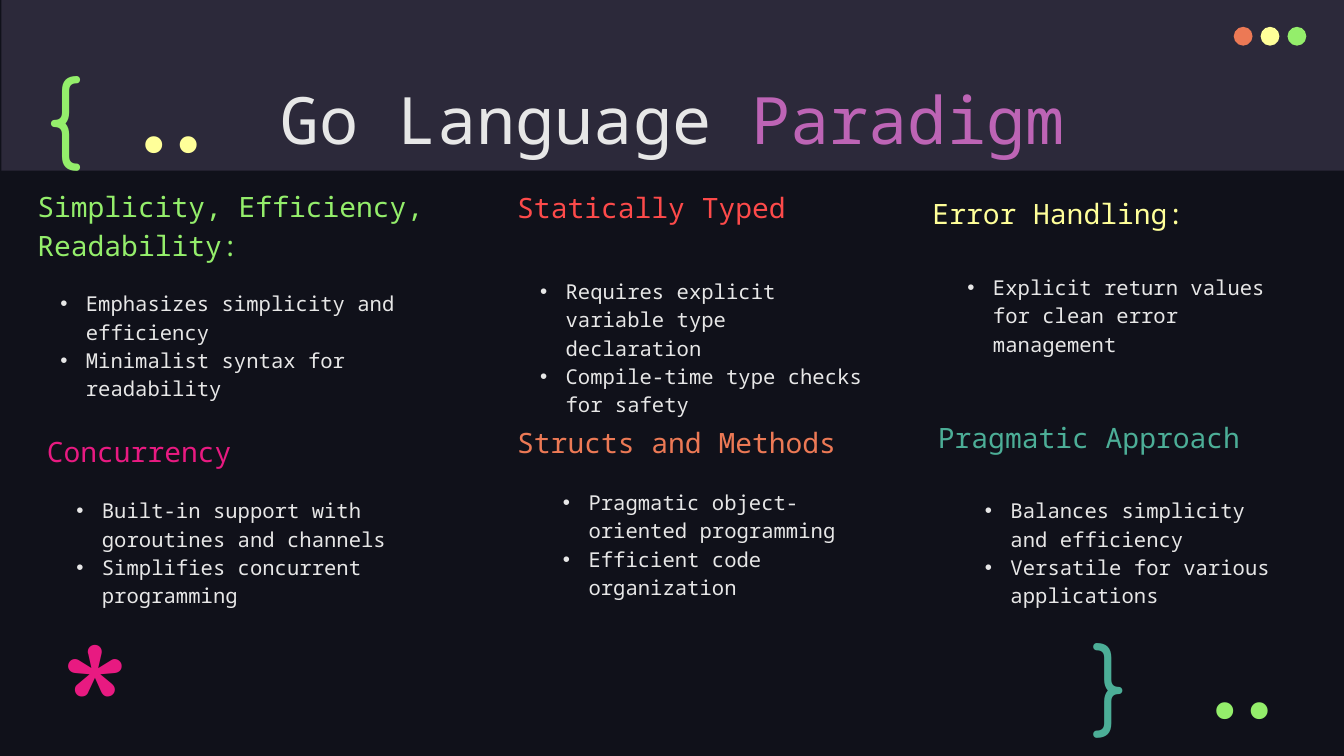
import pptx
import pptx.dml.color
import pptx.enum.shapes
import pptx.enum.text
import pptx.oxml
import pptx.oxml.ns
import pptx.util
from pptx.util import Inches

ALIGN = pptx.enum.text.PP_ALIGN
ANCHOR = pptx.enum.text.MSO_ANCHOR
SHAPE = pptx.enum.shapes.MSO_SHAPE

COLORS = {
    "background": "10111A", "header": "2C293A", "text": "E7E7E7",
    "purple": "BD64B5", "green": "94EE6B", "red": "FD4A4A",
    "yellow": "FFFF99", "pink": "E81A81", "orange": "EC7955",
    "teal": "4CAE97",
}
MONO = "Noto Sans Mono"

# heading, colour, heading box, bullet box, bullets
TOPICS = [
    ("Simplicity, Efficiency, Readability:", "green",
     (0.18, 1.3, 3.16, 0.75), (0.35, 2.04, 3.22, 0.79),
     ["Emphasizes simplicity and efficiency",
      "Minimalist syntax for readability"]),
    ("Statically Typed", "red",
     (3.75, 1.23, 2.52, 0.54), (3.92, 1.95, 2.64, 0.96),
     ["Requires explicit variable type declaration",
      "Compile-time type checks for safety"]),
    ("Error Handling:", "yellow",
     (6.84, 1.27, 2.16, 0.54), (7.1, 1.92, 2.54, 0.96),
     ["Explicit return values for clean error management"]),
    ("Concurrency", "pink",
     (0.25, 3.04, 2.65, 0.54), (0.47, 3.58, 2.73, 0.96),
     ["Built-in support with goroutines and channels",
      "Simplifies concurrent programming"]),
    ("Structs and Methods", "orange",
     (3.75, 2.98, 2.8, 0.54), (4.09, 3.52, 2.31, 0.96),
     ["Pragmatic object-oriented programming",
      "Efficient code organization"]),
    ("Pragmatic Approach", "teal",
     (6.88, 2.94, 2.69, 0.54), (7.23, 3.58, 2.48, 0.96),
     ["Balances simplicity and efficiency",
      "Versatile for various applications"]),
]

# symbol, colour, box, format
DOT_PAIR = {"font": "Fira Code", "align": ALIGN.RIGHT, "anchor": ANCHOR.MIDDLE}
SYMBOLS = [
    ("{", "green", (0.25, 0.32, 0.77, 0.95), {}),
    ("}", "teal", (8.03, 4.54, 0.57, 0.83), {}),
    ("*", "pink", (0.35, 4.41, 0.57, 0.87), {"size": 96}),
    ("..", "green", (8.7, 4.77, 1.07, 0.6), DOT_PAIR),
    ("..", "yellow", (0.73, 0.56, 1.07, 0.6), DOT_PAIR),
]


def rgb(color):
    return pptx.dml.color.RGBColor.from_string(COLORS[color])


def add_bullet(paragraph, color):
    properties = paragraph._p.get_or_add_pPr()
    properties.set("marL", str(Inches(0.19)))
    properties.set("indent", str(-Inches(0.19)))
    namespace = pptx.oxml.ns.nsdecls("a")
    for xml in (
        f'<a:buClr {namespace}><a:srgbClr val="{COLORS[color]}"/></a:buClr>',
        f'<a:buFont {namespace} typeface="Arial"/>',
        f'<a:buChar {namespace} char="•"/>',
    ):
        properties.append(pptx.oxml.parse_xml(xml))


def add_text(slide, box, paragraphs, size, font=MONO, align=ALIGN.LEFT,
             anchor=ANCHOR.TOP, spacing=None, bullets=False):
    """Each paragraph is a list of (text, colour) runs."""
    frame = slide.shapes.add_textbox(*map(Inches, box)).text_frame
    frame.word_wrap = True
    frame.vertical_anchor = anchor
    frame.margin_left = frame.margin_right = Inches(0.1)
    frame.margin_top = frame.margin_bottom = Inches(0.1)
    for index, runs in enumerate(paragraphs):
        paragraph = frame.add_paragraph() if index else frame.paragraphs[0]
        paragraph.alignment = align
        if spacing:
            paragraph.line_spacing = spacing
        if bullets:
            add_bullet(paragraph, runs[0][1])
        for text, color in runs:
            run = paragraph.add_run()
            run.text = text
            run.font.size = pptx.util.Pt(size)
            run.font.name = font
            run.font.color.rgb = rgb(color)


def add_filled(shapes, kind, box, color):
    shape = shapes.add_shape(kind, *map(Inches, box))
    shape.shadow.inherit = False
    shape.fill.solid()
    shape.fill.fore_color.rgb = rgb(color)
    shape.line.fill.background()


def add_header(slide, left, top, width, height):
    add_filled(slide.shapes, SHAPE.RECTANGLE, (left, top, width, height), "header")
    add_text(slide, (left + 0.78, top + 0.49, 8.43, 0.63),
             [[("Go Language ", "text"), ("Paradigm", "purple")]],
             size=35, align=ALIGN.CENTER)
    window_dots = slide.shapes.add_group_shape()
    for index, color in enumerate(("orange", "yellow", "green")):
        add_filled(window_dots.shapes, SHAPE.OVAL,
                   (left + 9.17 + index * 0.2, top + 0.2, 0.14, 0.14), color)


def add_topic(slide, heading, color, heading_box, bullet_box, bullets):
    add_text(slide, bullet_box, [[(bullet, "text")] for bullet in bullets],
             size=11, spacing=1.15, bullets=True)
    add_text(slide, heading_box, [[(heading, color)]],
             size=15, spacing=1.15, anchor=ANCHOR.BOTTOM)


def add_symbol(slide, symbol, color, box, text_format):
    add_text(slide, box, [[(symbol, color)]],
             **{"size": 50, "font": "Comfortaa", **text_format})


def main():
    deck = pptx.Presentation()
    deck.slide_width = Inches(10)
    deck.slide_height = deck.slide_width * 9 // 16
    slide = deck.slides.add_slide(deck.slide_layouts[6])
    slide.background.fill.solid()
    slide.background.fill.fore_color.rgb = rgb("background")

    add_header(slide, 0.01, 0, 10, 1.27)
    for topic in TOPICS:
        add_topic(slide, *topic)
    for symbol in SYMBOLS:
        add_symbol(slide, *symbol)
    deck.save("out.pptx")


if __name__ == "__main__":
    main()
